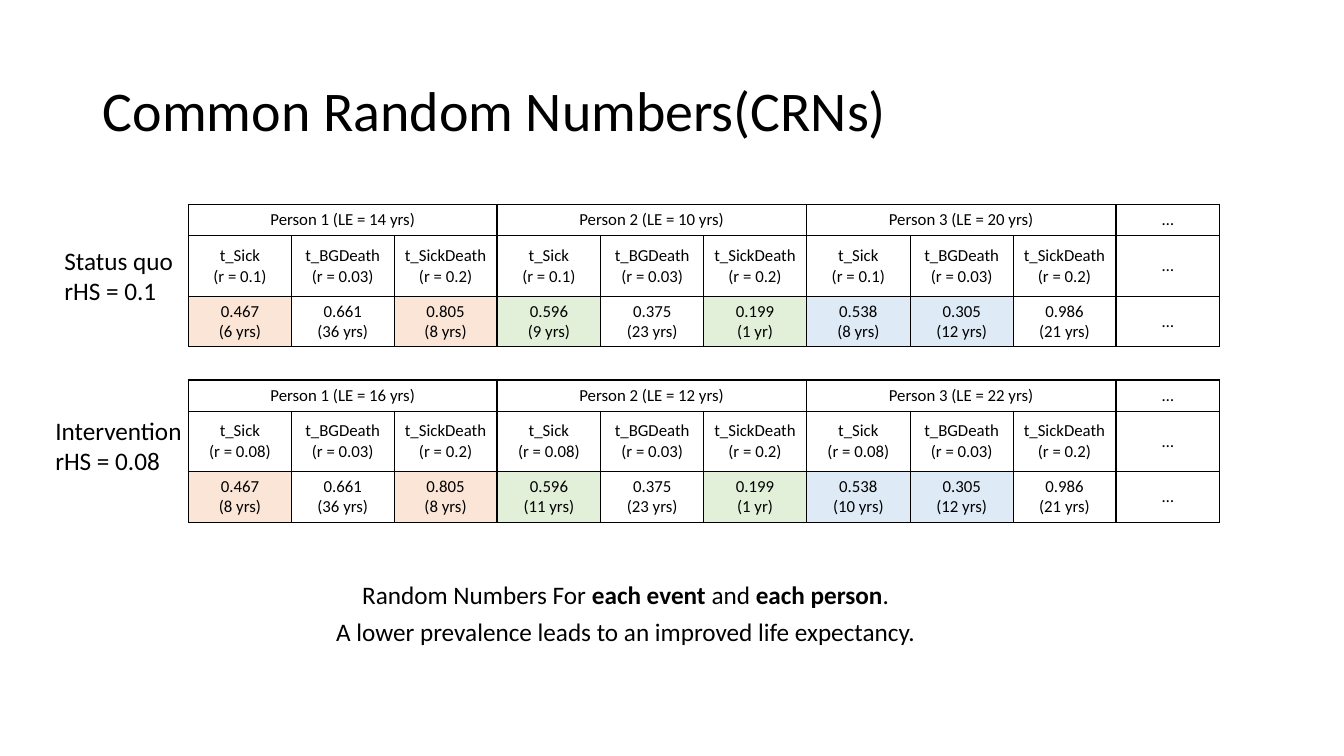
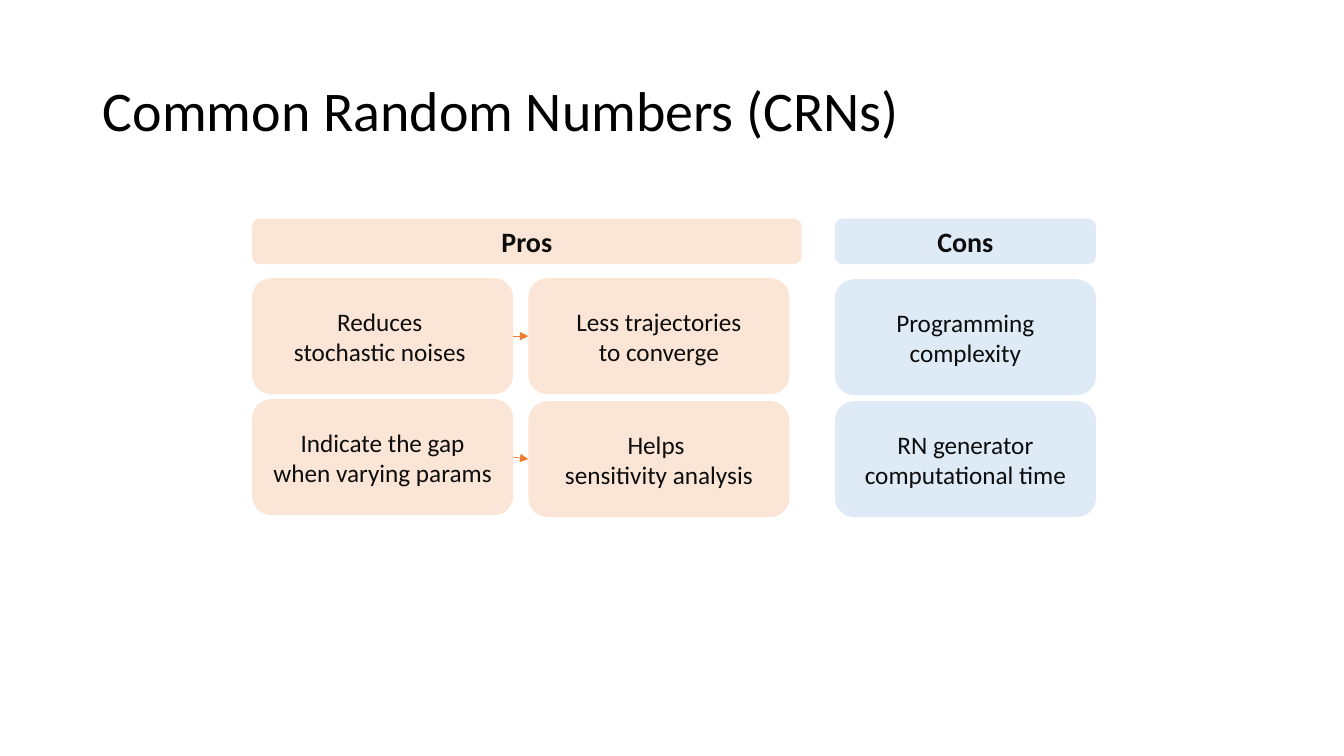
import pptx
import pptx.util
import pptx.dml.color
import pptx.enum.text
import pptx.enum.shapes
import pptx.oxml
import pptx.oxml.ns

PX = 9144
FONT = "Calibri"
HEX = {
    "black": "000000",
    "ink": "0D0D0D",
    "white": "FFFFFF",
    "peach": "FBE5D6",
    "green": "E2F0D9",
    "blue": "DEEBF7",
    "arrow": "ED7D31",
}
ALIGN = pptx.enum.text.PP_ALIGN
MIDDLE = pptx.enum.text.MSO_ANCHOR.MIDDLE
KIND = pptx.enum.shapes.MSO_SHAPE.ROUNDED_RECTANGLE
LINE = pptx.enum.shapes.MSO_CONNECTOR.STRAIGHT
EVENTS = ["t_Sick", "t_BGDeath", "t_SickDeath"]
DRAWS = ["0.467", "0.661", "0.805", "0.596", "0.375", "0.199", "0.538", "0.305", "0.986"]
TINTS = ["peach", "white", "peach", "green", "white", "green", "blue", "blue", "white"]
NS = pptx.oxml.ns.nsdecls("a")


def px(*sizes):
    return [pptx.util.Emu(size * PX) for size in sizes]


def tone(name):
    return pptx.dml.color.RGBColor.from_string(HEX[name])


def paint(item, name):
    item.fill.solid()
    item.fill.fore_color.rgb = tone(name)


def write(frame, lines, size, color="black", align=ALIGN.CENTER, space=None, bold=False):
    for i, line in enumerate(lines):
        para = frame.paragraphs[0] if i == 0 else frame.add_paragraph()
        para.alignment = align
        para.line_spacing = space
        for j, part in enumerate(line.split("*")):
            if part:
                run = para.add_run()
                run.text = part
                run.font.name = FONT
                run.font.size = pptx.util.Pt(size)
                run.font.color.rgb = tone(color)
                run.font.bold = bold or j % 2 == 1


def start(deck, text):
    slide = deck.slides.add_slide(deck.slide_layouts[5])
    title = slide.shapes.title
    title.left, title.top, title.width, title.height = px(92, 40, 1150, 145)
    frame = title.text_frame
    frame.vertical_anchor = MIDDLE
    frame.auto_size = pptx.enum.text.MSO_AUTO_SIZE.NONE
    write(frame, [text], 40, align=ALIGN.LEFT, space=0.9)
    return slide


def label(slide, place, lines, align=ALIGN.LEFT, space=None):
    frame = slide.shapes.add_textbox(*px(*place)).text_frame
    frame.word_wrap = False
    write(frame, lines, 18, align=align, space=space)


def edge(cell):
    props = cell._tc.get_or_add_tcPr()
    for i, side in enumerate("LRTB"):
        props.insert(i, pptx.oxml.parse_xml(
            f'<a:ln{side} {NS} w="12700"><a:solidFill>'
            f'<a:srgbClr val="{HEX["black"]}"/></a:solidFill></a:ln{side}>'))


def fill(cell, lines, tint="white"):
    cell.margin_left, cell.margin_right, cell.margin_top, cell.margin_bottom = px(1, 1, 1, 1)
    cell.vertical_anchor = MIDDLE
    paint(cell, tint)
    edge(cell)
    write(cell.text_frame, lines, 12)


def trial(slide, top, rate, spans, years):
    wide, count = 1023, 10
    grid = slide.shapes.add_table(3, count, *px(187, top, wide, 141)).table
    grid.first_row = grid.horz_banding = False
    for i, col in enumerate(grid.columns):
        col.width = px(wide * (i + 1) // count - wide * i // count)[0]
    for row, high in zip(grid.rows, px(31, 60, 50)):
        row.height = high
    rates = [rate, "0.03", "0.2"]
    for i in range(count - 1):
        who, kind = divmod(i, 3)
        head = [f"Person {who + 1} (LE = {spans[who]} yrs)"] if kind == 0 else []
        unit = "yr" if years[i] == 1 else "yrs"
        fill(grid.cell(0, i), head)
        fill(grid.cell(1, i), [EVENTS[kind], f"(r = {rates[kind]})"])
        fill(grid.cell(2, i), [DRAWS[i], f"({years[i]} {unit})"], TINTS[i])
    for row in range(3):
        fill(grid.cell(row, count - 1), ["…"])
    for i in range(0, count - 1, 3):
        grid.cell(0, i).merge(grid.cell(0, i + 2))


def box(slide, place, lines, tint, size=18, bold=False):
    shape = slide.shapes.add_shape(KIND, *px(*place))
    shape.shadow.inherit = False
    paint(shape, tint)
    shape.line.fill.background()
    shape.text_frame.vertical_anchor = MIDDLE
    write(shape.text_frame, lines, size, "ink", bold=bold)
    return shape


def arrow(slide, left, right):
    line = slide.shapes.add_connector(LINE, 0, 0, 0, 0)
    line.begin_connect(left, 3)
    line.end_connect(right, 1)
    line.line.color.rgb = tone("arrow")
    line.line.width = pptx.util.Pt(0.5)
    line.line._get_or_add_ln().append(
        pptx.oxml.parse_xml(f'<a:tailEnd {NS} type="triangle"/>'))
    line._element.spPr.append(pptx.oxml.parse_xml(f"<a:effectLst {NS}/>"))


def random(deck):
    slide = start(deck, "Common Random Numbers(CRNs)")
    trial(slide, 203, "0.1", [14, 10, 20], [6, 36, 8, 9, 23, 1, 8, 12, 21])
    trial(slide, 377, "0.08", [16, 12, 22], [8, 36, 8, 11, 23, 1, 10, 12, 21])
    label(slide, (54, 238, 129, 71), ["Status quo", "rHS = 0.1"])
    label(slide, (45, 407, 147, 71), ["Intervention", "rHS = 0.08"])
    label(slide, (320, 562, 601, 86), [
        "Random Numbers For *each event *and *each person*.",
        "A lower prevalence leads to an improved life expectancy.",
    ], ALIGN.CENTER, 1.25)


def weigh(deck):
    slide = start(deck, "Common Random Numbers (CRNs)")
    wide, high = 259, 115
    cause, gain, cons = 250, 524, 828
    box(slide, (cause, 217, 545, 45), ["Pros"], "peach", 20, True)
    box(slide, (cons, 217, wide, 45), ["Cons"], "blue", 20, True)
    pros = [
        (276, ["Reduces ", "stochastic noises "], 276, ["Less trajectories", "to converge"]),
        (396, ["Indicate the gap", "when varying params"], 398, ["Helps ", "sensitivity analysis"]),
    ]
    for top, why, drop, then in pros:
        left = box(slide, (cause, top, wide, high), why, "peach")
        right = box(slide, (gain, drop, wide, high), then, "peach")
        arrow(slide, left, right)
    box(slide, (cons, 277, wide, high), ["Programming complexity"], "blue")
    box(slide, (cons, 398, wide, high), ["RN generator", "computational time"], "blue")


def main():
    deck = pptx.Presentation()
    deck.slide_width, deck.slide_height = px(1333, 750)
    random(deck)
    weigh(deck)
    deck.save("out.pptx")


if __name__ == "__main__":
    main()
